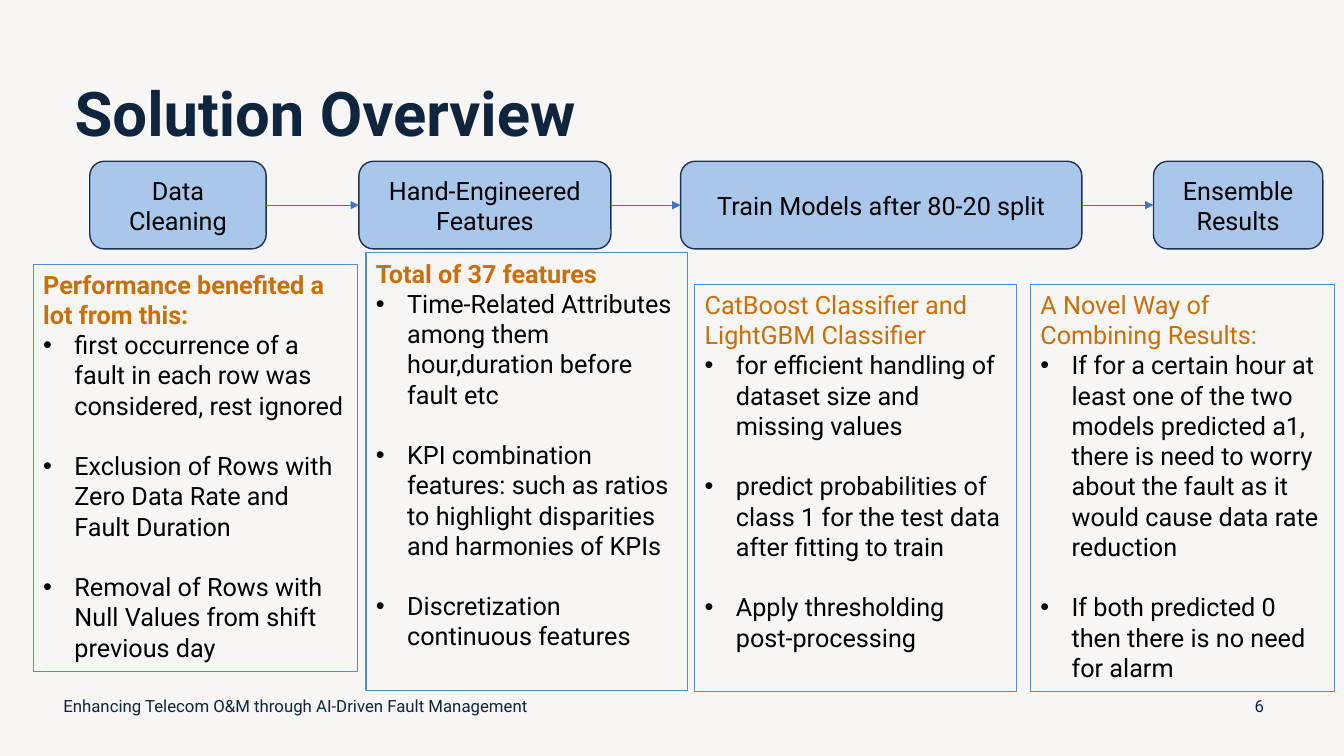
"""Build the Solution Overview slide: a four-step flow with a detail panel per step."""
from itertools import pairwise

from lxml.etree import SubElement
from pptx import Presentation
from pptx.dml.color import RGBColor
from pptx.enum.shapes import MSO_CONNECTOR, MSO_SHAPE
from pptx.enum.text import MSO_ANCHOR, PP_ALIGN
from pptx.oxml.ns import qn
from pptx.util import Inches, Pt

NAVY = RGBColor(0x0F, 0x25, 0x3E)
BLACK = RGBColor(0x00, 0x00, 0x00)
ORANGE = RGBColor(0xCA, 0x6F, 0x07)
STEP_FILL = RGBColor(0xA8, 0xC7, 0xEA)
STEP_LINE = RGBColor(0x1E, 0x32, 0x56)
PANEL_LINE = RGBColor(0x51, 0x8F, 0xD5)
ARROW = RGBColor(0x44, 0x72, 0xC4)
BACKGROUND = RGBColor(0xF8, 0xF6, 0xF5)

STEP_TOP, STEP_HEIGHT = 1.6, 0.87
STEPS = [
    ("Data Cleaning", 0.89, 1.75),
    ("Hand-Engineered Features", 3.56, 2.5),
    ("Train Models after 80-20 split", 6.75, 3.98),
    ("Ensemble Results", 11.44, 1.68),
]
PANELS = [
    ((0.33, 2.62, 3.22, 4.04), "Performance benefited a lot from this:", True, [
        "first occurrence of a fault in each row was considered, rest ignored",
        "Exclusion of Rows with Zero Data Rate and Fault Duration",
        "Removal of Rows with Null Values from shift previous day",
    ]),
    ((3.63, 2.51, 3.19, 4.34), "Total of 37 features", True, [
        "Time-Related Attributes among them hour,duration before fault etc",
        "KPI combination features: such as ratios to highlight disparities and harmonies of KPIs",
        "Discretization continuous features",
    ]),
    ((6.89, 2.82, 3.19, 4.04), "CatBoost Classifier and LightGBM Classifier", False, [
        "for efficient handling of dataset size and missing values",
        "predict probabilities of class 1 for the test data after fitting to train",
        "Apply thresholding post-processing",
    ]),
    ((10.22, 2.82, 3.02, 4.04), "A Novel Way of Combining Results:", False, [
        "If for a certain hour at least one of the two models predicted a1, there is need "
        "to worry about the fault as it would cause data rate reduction",
        "If both predicted 0 then there is no need for alarm",
    ]),
]
FOOTERS = [
    ("Enhancing Telecom O&M through AI-Driven Fault Management", 0.53, 4.91, PP_ALIGN.LEFT),
    ("6", 12.24, 0.5, PP_ALIGN.CENTER),
]


def write(paragraph, text, size, color, bold=False, align=PP_ALIGN.LEFT):
    paragraph.text = text
    paragraph.alignment = align
    font = paragraph.font
    font.name, font.size, font.bold = "Roboto", Pt(size), bold
    font.color.rgb = color


def add_box(slide, preset, box, line_color, line_width):
    shape = slide.shapes.add_shape(preset, *map(Inches, box))
    shape.shadow.inherit = False
    shape.line.color.rgb = line_color
    shape.line.width = Pt(line_width)
    shape.text_frame.word_wrap = True
    return shape


presentation = Presentation()
presentation.slide_width = Inches(13.33)
presentation.slide_height = Inches(7.5)
slide = presentation.slides.add_slide(presentation.slide_layouts[5])
slide.background.fill.solid()
slide.background.fill.fore_color.rgb = BACKGROUND

title = slide.shapes.title
title.left, title.top, title.width, title.height = map(Inches, (0.64, 0.55, 11.5, 1.22))
title.text_frame.vertical_anchor = MSO_ANCHOR.MIDDLE
write(title.text_frame.paragraphs[0], "Solution Overview", 44, NAVY, bold=True)
title.text_frame.paragraphs[0].line_spacing = 0.9

for text, left, width, align in FOOTERS:
    footer = slide.shapes.add_textbox(*map(Inches, (left, 6.8, width, 0.4)))
    footer.text_frame.word_wrap = True
    footer.text_frame.vertical_anchor = MSO_ANCHOR.MIDDLE
    write(footer.text_frame.paragraphs[0], text, 12, NAVY, align=align)

step_shapes = []
for text, left, width in STEPS:
    step = add_box(slide, MSO_SHAPE.ROUNDED_RECTANGLE,
                   (left, STEP_TOP, width, STEP_HEIGHT), STEP_LINE, 1)
    step.fill.solid()
    step.fill.fore_color.rgb = STEP_FILL
    step.text_frame.vertical_anchor = MSO_ANCHOR.MIDDLE
    write(step.text_frame.paragraphs[0], text, 18, BLACK, align=PP_ALIGN.CENTER)
    step_shapes.append(step)

for start, end in pairwise(step_shapes):
    arrow = slide.shapes.add_connector(MSO_CONNECTOR.STRAIGHT, 0, 0, 0, 0)
    arrow.begin_connect(start, 3)
    arrow.end_connect(end, 1)
    arrow.line.color.rgb = ARROW
    arrow.line.width = Pt(0.5)
    SubElement(arrow.line._get_or_add_ln(), qn("a:tailEnd"), type="triangle")
    SubElement(arrow._element.spPr, qn("a:effectLst"))

for box, heading, bold, bullets in PANELS:
    panel = add_box(slide, MSO_SHAPE.RECTANGLE, box, PANEL_LINE, 0.75)
    panel.fill.background()
    frame = panel.text_frame
    frame.vertical_anchor = MSO_ANCHOR.TOP
    write(frame.paragraphs[0], heading, 18, ORANGE, bold)
    for index, text in enumerate(bullets):
        paragraph = frame.add_paragraph()
        write(paragraph, text, 18, BLACK)
        paragraph.space_before = Pt(21.6 if index else 0)
        properties = paragraph._p.get_or_add_pPr()
        properties.set("marL", str(Inches(0.31)))
        properties.set("indent", str(-Inches(0.31)))
        bullet_font = properties.makeelement(qn("a:buFont"), {"typeface": "Arial"})
        bullet = properties.makeelement(qn("a:buChar"), {"char": "•"})
        properties.find(qn("a:defRPr")).addprevious(bullet_font)
        bullet_font.addnext(bullet)

presentation.save("out.pptx")
